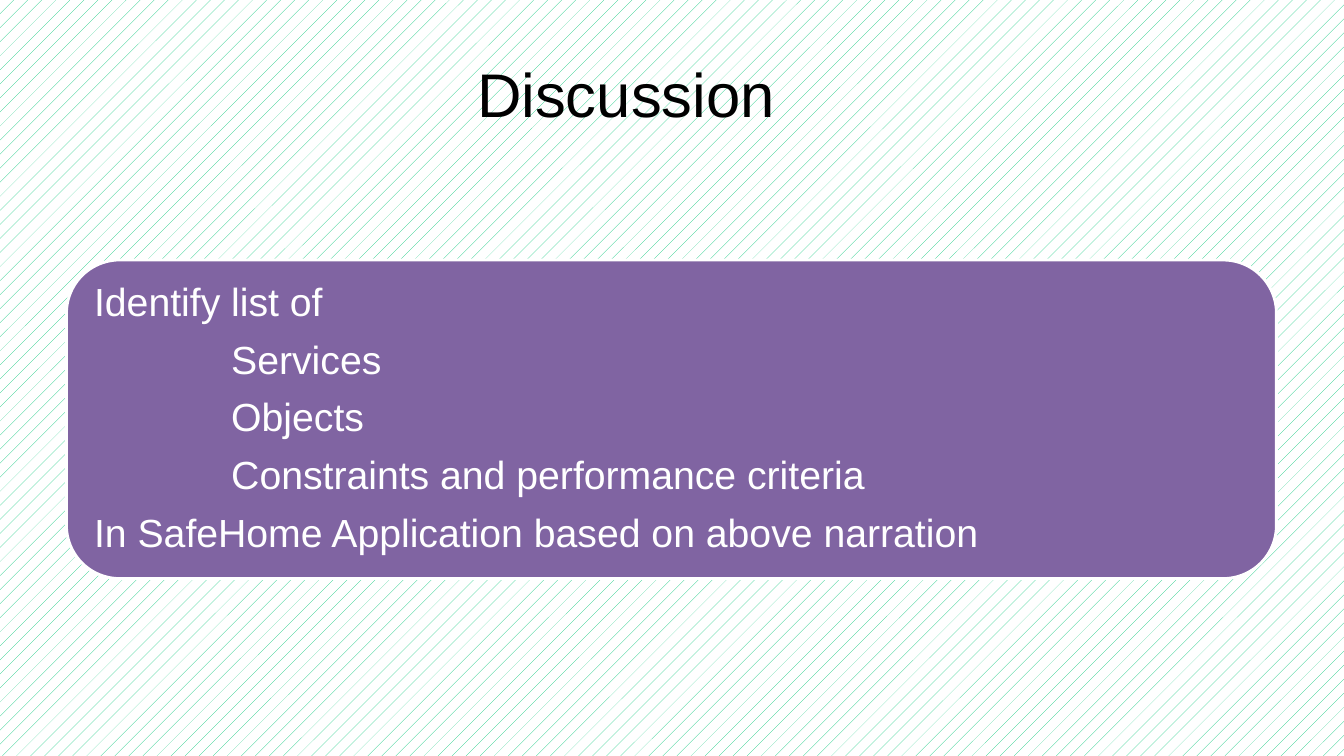
from pptx import Presentation
from pptx.dml.color import RGBColor
from pptx.enum.dml import MSO_PATTERN
from pptx.enum.shapes import MSO_SHAPE
from pptx.enum.text import MSO_ANCHOR, PP_ALIGN
from pptx.oxml.ns import qn
from pptx.util import Inches, Pt
from lxml.etree import SubElement

COLORS = {"title": "000000", "panel": "8064A2", "light": "FFFFFF", "hatch": "09C77A"}
PANEL_LINES = [
    "Identify list of",
    "\tServices",
    "\tObjects",
    "\tConstraints and performance criteria",
    "In SafeHome Application based on above narration",
]
PANEL_PARAGRAPH = {"alignment": PP_ALIGN.LEFT, "line_spacing": 0.9, "space_after": Pt(11)}
PANEL_FRAME = {"word_wrap": True, "vertical_anchor": MSO_ANCHOR.MIDDLE}
MARGINS = ("margin_left", "margin_top", "margin_right", "margin_bottom")
TAB_STOP = Inches(1.36)


def color(name):
    return RGBColor.from_string(COLORS[name])


def set_attributes(target, values):
    for name, value in values.items():
        setattr(target, name, value)


def style_font(font, size, color_name):
    set_attributes(font, {"name": "Arial", "size": Pt(size), "bold": False})
    font.color.rgb = color(color_name)


def set_background(page):
    fill = page.background.fill
    fill.patterned()
    fill.pattern = MSO_PATTERN.PERCENT_5
    fill.fore_color.rgb = color("hatch")
    fill.back_color.rgb = color("light")


def set_title(page, text):
    title = page.shapes.title
    set_attributes(title, {"left": Inches(0.67), "top": Inches(0.3),
                           "width": Inches(11.08), "height": Inches(1.25)})
    title.text_frame.vertical_anchor = MSO_ANCHOR.MIDDLE
    para = title.text_frame.paragraphs[0]
    para.alignment = PP_ALIGN.CENTER
    span = para.add_run()
    span.text = text
    style_font(span.font, 44, "title")


def add_tab_stop(para, position):
    tab_list = SubElement(para._p.get_or_add_pPr(), qn("a:tabLst"))
    SubElement(tab_list, qn("a:tab"), pos=str(int(position)), algn="l")


def add_panel(page, lines):
    panel = page.shapes.add_shape(MSO_SHAPE.ROUNDED_RECTANGLE, Inches(0.66),
                                  Inches(2.58), Inches(12), Inches(3.16))
    panel.shadow.inherit = False
    panel.fill.solid()
    panel.fill.fore_color.rgb = color("panel")
    panel.line.color.rgb = color("light")
    panel.line.width = Pt(2)

    frame = panel.text_frame
    set_attributes(frame, PANEL_FRAME)
    set_attributes(frame, dict.fromkeys(MARGINS, Inches(0.12)))
    for index, line in enumerate(lines):
        para = frame.add_paragraph() if index else frame.paragraphs[0]
        set_attributes(para, PANEL_PARAGRAPH)
        if line.startswith("\t"):
            add_tab_stop(para, TAB_STOP)
        span = para.add_run()
        span.text = line
        style_font(span.font, 28, "light")


def main():
    deck = Presentation()
    deck.slide_width, deck.slide_height = Inches(13.33), Inches(7.5)
    page = deck.slides.add_slide(deck.slide_layouts.get_by_name("Title Only"))

    # Background and title
    set_background(page)
    set_title(page, "Discussion")

    # Discussion task
    add_panel(page, PANEL_LINES)

    deck.save("out.pptx")


if __name__ == "__main__":
    main()
